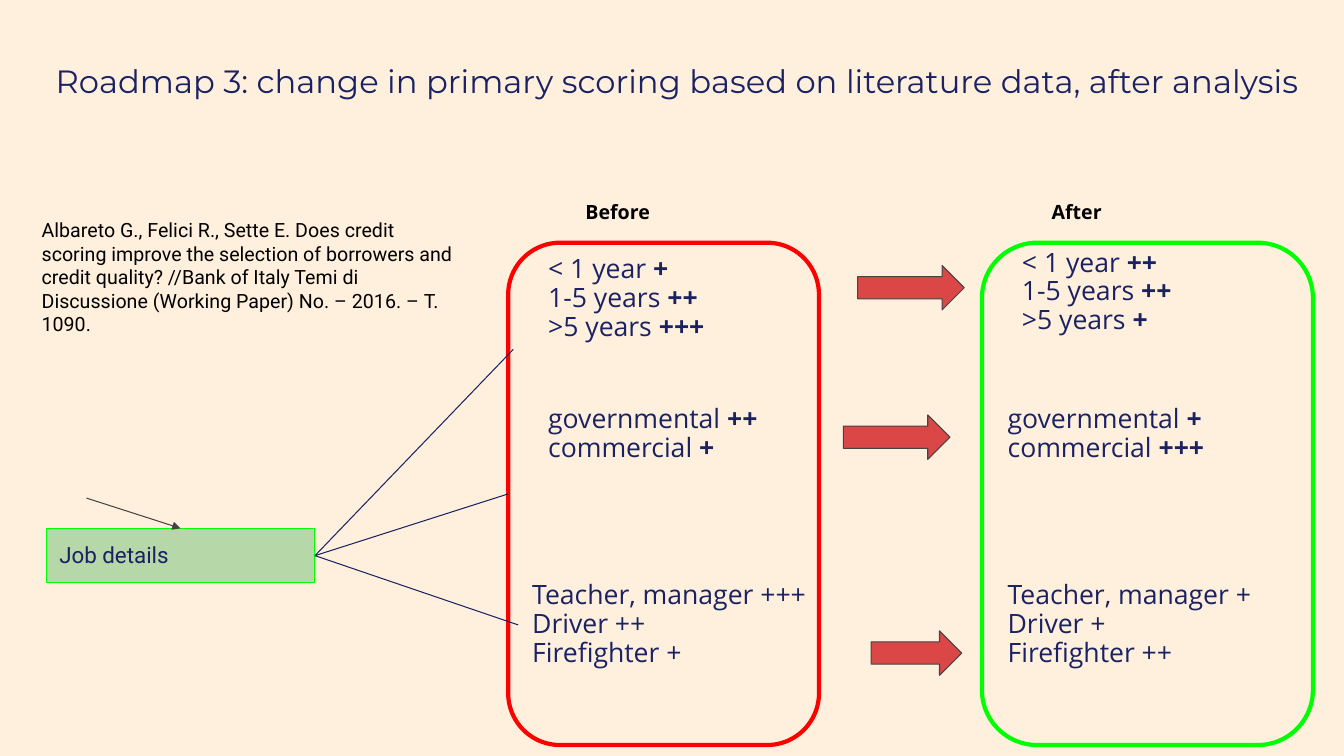
"""Build the slide on how primary scoring changes after analysis."""
from lxml import etree
from pptx import Presentation
from pptx.dml.color import RGBColor
from pptx.enum.shapes import MSO_CONNECTOR, MSO_SHAPE
from pptx.enum.text import MSO_ANCHOR, PP_ALIGN
from pptx.oxml.ns import qn
from pptx.util import Inches, Pt

NAVY = RGBColor(0x1A, 0x22, 0x63)
BLACK = RGBColor(0, 0, 0)
CREAM = RGBColor(0xFF, 0xF0, 0xDE)
GREY = RGBColor(0x44, 0x44, 0x44)
RED = RGBColor(0xFF, 0, 0)
LIME = RGBColor(0, 0xFF, 0)
BRICK = RGBColor(0xDB, 0x46, 0x46)
SAGE = RGBColor(0xB6, 0xD7, 0xA8)

deck = Presentation()
deck.slide_width, deck.slide_height = Inches(13.33), Inches(7.5)
COL, ROW = deck.slide_width / 160, deck.slide_height / 90
slide = deck.slides.add_slide(deck.slide_layouts[6])
slide.background.fill.solid()
slide.background.fill.fore_color.rgb = CREAM


def grid(*cells):
    """Turn alternating column and row counts into lengths."""
    return [round(n * unit) for n, unit in zip(cells, (COL, ROW, COL, ROW))]


def write(box, lines, size, font, color, pad=0.13, gap=1.0):
    """Fill a box with lines, each a list of (text, bold) runs."""
    frame = box.text_frame
    frame.word_wrap = True
    frame.vertical_anchor = MSO_ANCHOR.TOP
    frame.margin_left = frame.margin_right = Inches(pad)
    frame.margin_top = frame.margin_bottom = Inches(pad)
    for i, line in enumerate(lines):
        para = frame.add_paragraph() if i else frame.paragraphs[0]
        para.alignment = PP_ALIGN.LEFT
        para.line_spacing = gap
        for text, bold in line:
            run = para.add_run()
            run.text = text
            run.font.size, run.font.name = Pt(size), font
            run.font.bold, run.font.color.rgb = bold, color
    return frame


add_box = slide.shapes.add_textbox
title = write(add_box(*grid(1.4, 2.2, 158.6, 14.8)), [[(
    "Roadmap 3: change in primary scoring based on literature data, "
    "after analysis", False)]], 23, "Montserrat", NAVY)
title.vertical_anchor = MSO_ANCHOR.MIDDLE
title.paragraphs[0].alignment = PP_ALIGN.CENTER

write(add_box(*grid(3.4, 24.4, 52.4, 17.4)), [[(
    "Albareto G., Felici R., Sette E. Does credit scoring improve the "
    "selection of borrowers and credit quality? //Bank of Italy Temi di "
    "Discussione (Working Paper) No. – 2016. – Т. 1090.", False)]],
    14, "Roboto", BLACK)

for left, label in ((68.5, "Before"), (124, "After")):
    write(add_box(*grid(left, 22.9, 10.8, 5.3)), [[(label, True)]],
          14, "Open Sans", BLACK, 0.1, 0.9)

years = ("< 1 year", "1-5 years", ">5 years")
firms = ("governmental", "commercial")
jobs = ("Teacher, manager", "Driver", "Firefighter")
scores = (
    (63.7, 28.9, 34.7, years, (1, 2, 3), True),
    (63.7, 46.7, 37.8, firms, (2, 1), True),
    (61.8, 67.7, 37.8, jobs, (3, 2, 1), False),
    (120.1, 28.1, 34.7, years, (2, 2, 1), True),
    (118.4, 46.7, 37.8, firms, (1, 3), True),
    (118.4, 67.7, 41.6, jobs, (1, 1, 2), False),
)
for left, top, width, names, marks, bold in scores:
    lines = [[(name + " ", False), ("+" * mark, bold)]
             for name, mark in zip(names, marks)]
    write(add_box(*grid(left, top, width, 3 + 4 * len(names))), lines,
          19, "Open Sans", NAVY, gap=0.9)

blocks = []
for kind, cells, fill, edge, weight in (
    (MSO_SHAPE.RECTANGLE, (5.5, 62.9, 32, 6.5), SAGE, LIME, 0.75),
    (MSO_SHAPE.ROUNDED_RECTANGLE, (60.5, 28.9, 37, 59.8), None, RED, 3),
    (MSO_SHAPE.ROUNDED_RECTANGLE, (116.9, 28.9, 39.4, 59.8), None, LIME, 3),
    (MSO_SHAPE.RIGHT_ARROW, (102.1, 31.6, 12.7, 5.3), BRICK, GREY, 0.75),
    (MSO_SHAPE.RIGHT_ARROW, (100.4, 49.4, 12.7, 5.3), BRICK, GREY, 0.75),
    (MSO_SHAPE.RIGHT_ARROW, (103.7, 75.1, 10.8, 5.3), BRICK, GREY, 0.75),
):
    block = slide.shapes.add_shape(kind, *grid(*cells))
    block.shadow.inherit = False
    if fill is None:
        block.fill.background()
    else:
        block.fill.solid()
        block.fill.fore_color.rgb = fill
    block.line.color.rgb, block.line.width = edge, Pt(weight)
    blocks.append(block)
job, before = blocks[:2]
write(job, [[("Job details", False)]], 16, "Roboto", NAVY)

links = []
for ends, color in (
    ((37.5, 66.15, 61.1, 41.6), NAVY),
    ((37.5, 66.15, 60.5, 58.8), NAVY),
    ((37.5, 66.15, 61.7, 74.4), NAVY),
    ((10.3, 59.3, 21.5, 62.9), GREY),
):
    link = slide.shapes.add_connector(MSO_CONNECTOR.STRAIGHT, *grid(*ends))
    link.line.color.rgb, link.line.width = color, Pt(0.75)
    etree.SubElement(link._element.spPr, qn("a:effectLst"))
    links.append(link)
for link in links[:3]:
    link.begin_connect(job, 3)
links[1].end_connect(before, 1)
links[3].end_connect(job, 0)
etree.SubElement(links[3].line._get_or_add_ln(), qn("a:tailEnd"),
                 type="triangle")

deck.save("out.pptx")
